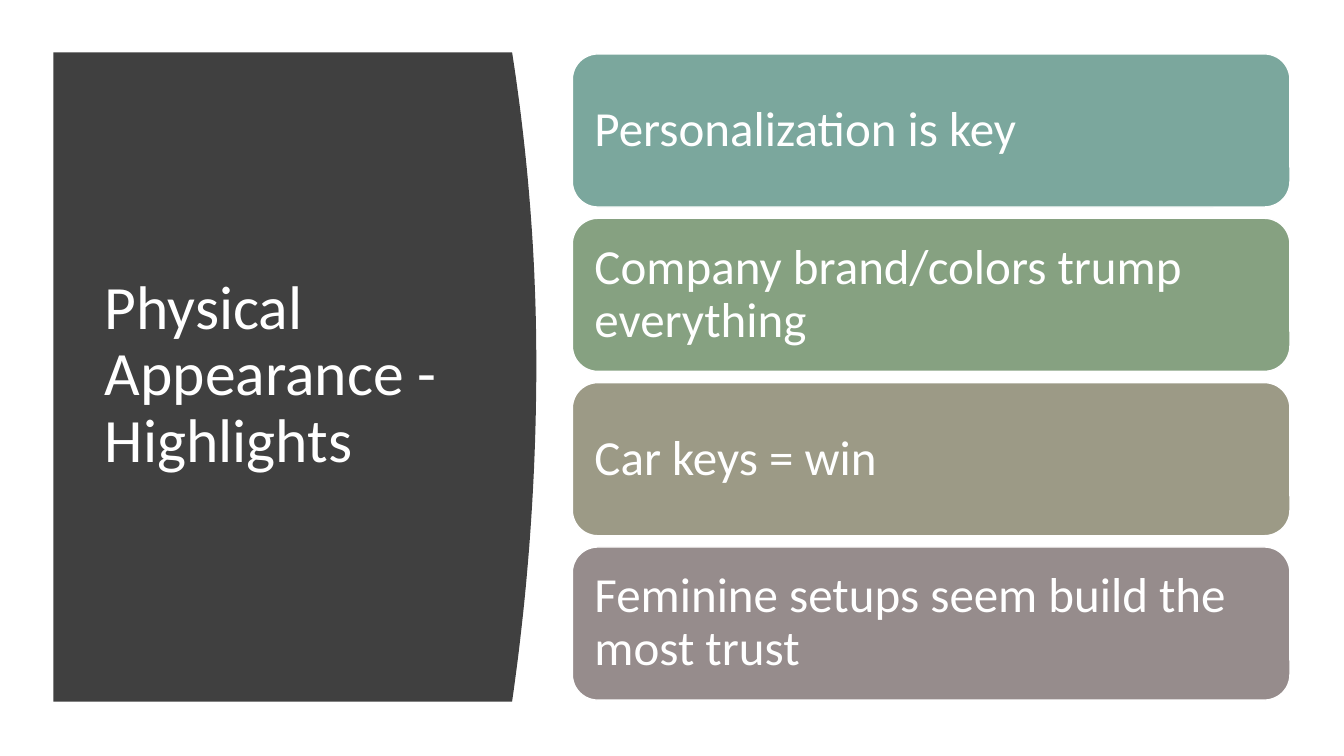
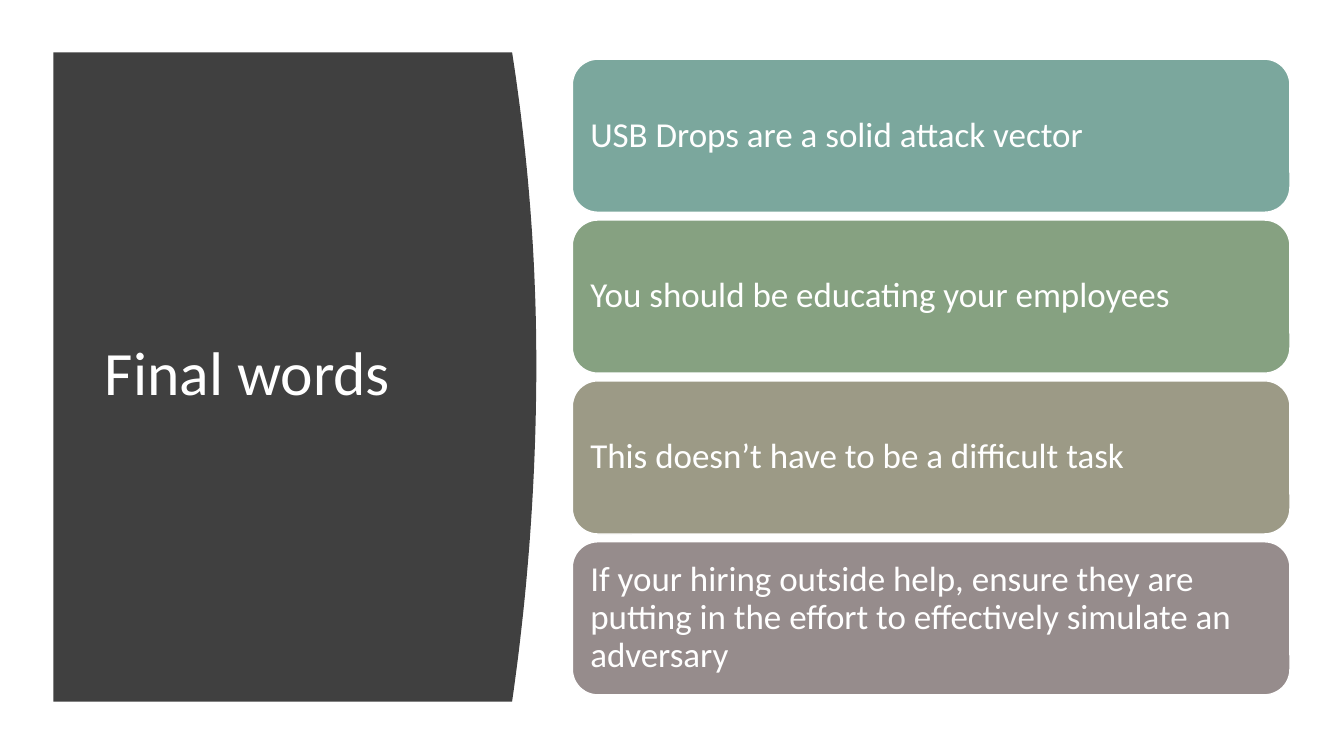
from pptx import Presentation
from pptx.dml.color import RGBColor
from pptx.enum import shapes, text
from pptx.util import Pt

FONT = "Calibri"
WHITE = RGBColor(0xFF, 0xFF, 0xFF)
CHARCOAL = RGBColor(0x40, 0x40, 0x40)
CARD_COLORS = (
    RGBColor(0x7B, 0xA7, 0x9D),
    RGBColor(0x86, 0xA1, 0x81),
    RGBColor(0x9C, 0x9A, 0x86),
    RGBColor(0x96, 0x8C, 0x8C),
)

# Boxes are left, top, width, height in points
PANEL = (38.2, 37.4, 344.9, 463.8)
CARDS = (408.8, 37.4, 512.6, 463.8)
CARD_HEIGHT = 109.4

SLIDES = [
    dict(title="Physical Appearance - Highlights", size=35, inset=10.5, gap=8,
         items=["Personalization is key",
                "Company brand/colors trump everything",
                "Car keys = win",
                "Feminine setups seem build the most trust"]),
    dict(title="Final words", size=25, inset=7.5, gap=5.5,
         items=["USB Drops are a solid attack vector",
                "You should be educating your employees",
                "This doesn’t have to be a difficult task",
                "If your hiring outside help, ensure they are putting in the "
                "effort to effectively simulate an adversary"]),
]


def format_text(tf, value, size):
    """White, left-aligned, vertically centred text."""
    tf.text = value
    tf.word_wrap = True
    tf.auto_size = text.MSO_AUTO_SIZE.NONE
    tf.vertical_anchor = text.MSO_ANCHOR.MIDDLE
    p = tf.paragraphs[0]
    p.alignment = text.PP_ALIGN.LEFT
    p.line_spacing = 0.9
    font = p.runs[0].font
    font.name, font.size, font.color.rgb = FONT, Pt(size), WHITE


def add_title_panel(s, box, title):
    """Dark panel with a bulging right edge, and the title on it."""
    left, top, width, height = box
    bulge, peak, steps = 17.3, 0.48, 50

    # Right edge: two half parabolas that meet at the peak
    points = []
    for i in range(steps + 1):
        f = i / steps
        t = (f - peak) / (peak if f < peak else 1 - peak)
        points.append((Pt(left + width - bulge * t * t), Pt(top + height * f)))
    points.append((Pt(left), Pt(top + height)))

    builder = s.shapes.build_freeform(Pt(left), Pt(top))
    builder.add_line_segments(points, close=True)
    panel = builder.convert_to_shape()
    panel.shadow.inherit = False
    panel.fill.solid()
    panel.fill.fore_color.rgb = CHARCOAL
    panel.line.fill.background()

    # Title goes in front of the panel
    sp = s.shapes.title
    sp.element.addprevious(panel.element)
    sp.left, sp.top = Pt(left + 29.5), Pt(top + 42.5)
    sp.width, sp.height = Pt(269.3), Pt(height - 86.5)
    format_text(sp.text_frame, title, 44)


def add_cards(s, box, items, size, inset, gap):
    """Stack of rounded cards, centred vertically in the box."""
    left, top, width, height = box
    pitch = CARD_HEIGHT + gap
    first = top + (height - (len(items) * pitch - gap)) / 2
    for i, (item, color) in enumerate(zip(items, CARD_COLORS)):
        sp = s.shapes.add_shape(
            shapes.MSO_SHAPE.ROUNDED_RECTANGLE,
            Pt(left), Pt(first + i * pitch), Pt(width), Pt(CARD_HEIGHT))
        sp.shadow.inherit = False
        sp.fill.solid()
        sp.fill.fore_color.rgb = color
        sp.line.color.rgb = WHITE
        sp.line.width = Pt(1)
        tf = sp.text_frame
        tf.margin_left = tf.margin_right = Pt(inset)
        tf.margin_top = tf.margin_bottom = Pt(inset)
        format_text(tf, item, size)


def main():
    prs = Presentation()
    prs.slide_width, prs.slide_height = Pt(960), Pt(540)
    for content in SLIDES:
        s = prs.slides.add_slide(prs.slide_layouts[5])
        add_title_panel(s, PANEL, content["title"])
        add_cards(s, CARDS, content["items"], content["size"],
                  content["inset"], content["gap"])
    prs.save("out.pptx")


if __name__ == "__main__":
    main()
